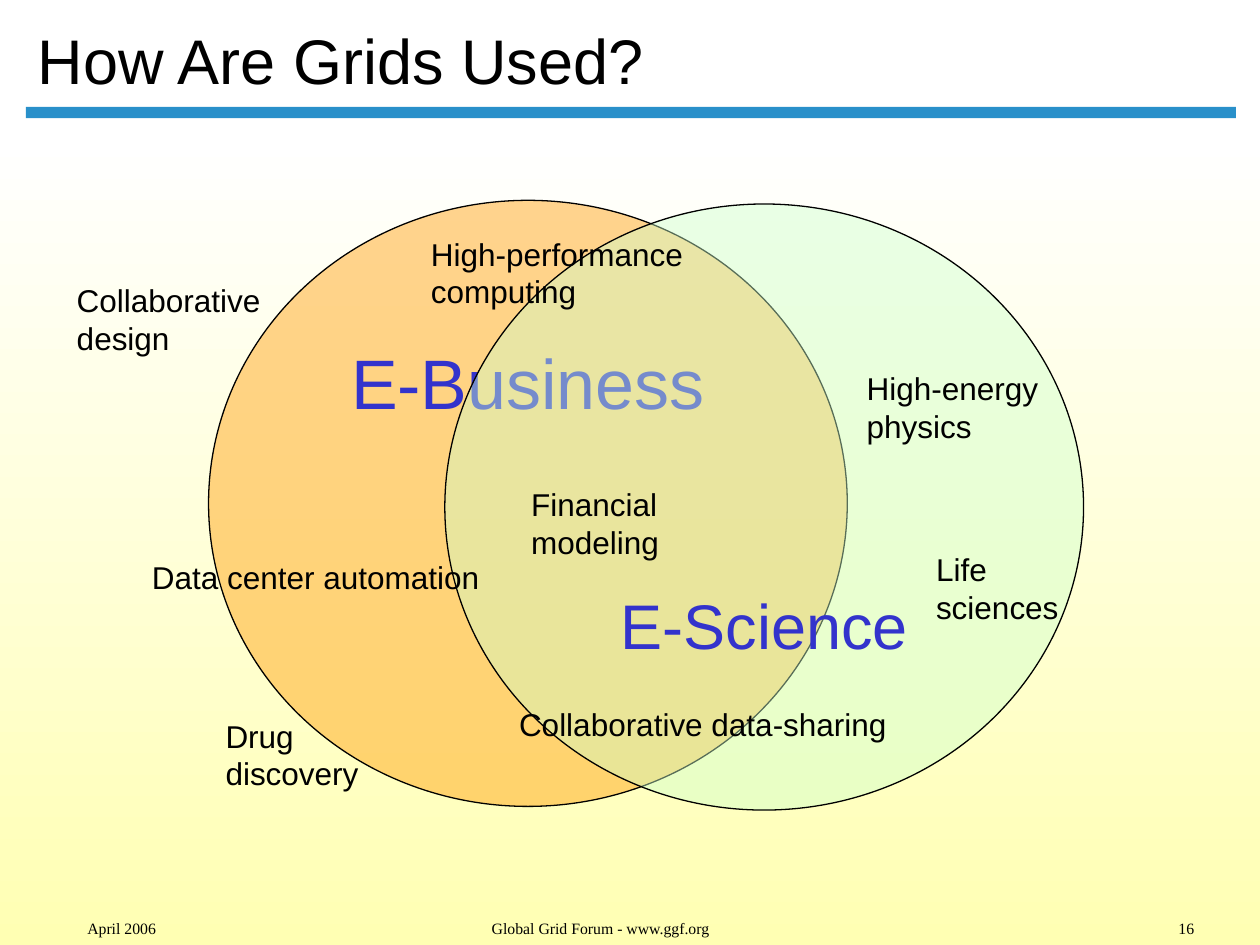
from pptx import Presentation
from pptx.dml.color import RGBColor
from pptx.enum.shapes import MSO_SHAPE
from pptx.enum.text import MSO_ANCHOR, MSO_AUTO_SIZE, PP_ALIGN
from pptx.oxml.ns import qn
from pptx.util import Pt
from lxml import etree

RECT, OVAL = MSO_SHAPE.RECTANGLE, MSO_SHAPE.OVAL
TOP, MIDDLE, BOTTOM = MSO_ANCHOR.TOP, MSO_ANCHOR.MIDDLE, MSO_ANCHOR.BOTTOM
LEFT, CENTER = PP_ALIGN.LEFT, PP_ALIGN.CENTER
FIT, FIXED = MSO_AUTO_SIZE.SHAPE_TO_FIT_TEXT, MSO_AUTO_SIZE.NONE

BLACK = RGBColor(0x00, 0x00, 0x00)
WHITE = RGBColor(0xFF, 0xFF, 0xFF)
CREAM = RGBColor(0xFF, 0xFF, 0xB3)
BAR_BLUE = RGBColor(0x29, 0x90, 0xCA)
ORANGE = RGBColor(0xFF, 0x99, 0x00)
GREEN = RGBColor(0xCC, 0xFF, 0xCC)
HEADING_BLUE = RGBColor(0x33, 0x33, 0xCC)

WIDTH, HEIGHT = 720, 540
CIRCLE_W, CIRCLE_H, ALPHA = 365, 346.3, 43
LABEL_H = 28.8
FOOTER_TOP, FOOTER_H = 522, 17.3

TITLE = "How Are Grids Used?"
CIRCLES = [
    ("E-Business", 119.2, 114.5, ORANGE, 40, dict(margin_bottom=142.6)),
    ("E-Science", 254.2, 116.6, GREEN, 36, dict(margin_top=137.6)),
]
LABELS = [
    ("High-performance computing", 239.2, 130.6, 246.2),
    ("Collaborative data-sharing", 289.5, 399.6, 224.6),
    ("Collaborative design", 36.8, 157, 177.1),
    ("Drug discovery", 121.8, 406, 133.9),
    ("Financial modeling", 296.4, 273.6, 164.2),
    ("Data center automation", 79.8, 315.2, 201.6),
    ("High-energy physics", 488.2, 207.6, 177.1),
    ("Life sciences", 527.8, 310.8, 118.1),
]
FOOTERS = [
    ("April 2006", 0, 139),
    ("Global Grid Forum - www.ggf.org", 167.8, 350.6),
    ("16", 648, 59.8),
]


def write(shape, text, size=18, font="Arial", color=BLACK, align=LEFT, anchor=TOP,
          wrap=False, fit=FIXED, spacing=1.0, margin_top=3.6, margin_bottom=3.6):
    tf = shape.text_frame
    tf.word_wrap, tf.auto_size, tf.vertical_anchor = wrap, fit, anchor
    tf.margin_left = tf.margin_right = Pt(7.2)
    tf.margin_top, tf.margin_bottom = Pt(margin_top), Pt(margin_bottom)
    p = tf.paragraphs[0]
    p.alignment, p.line_spacing = align, spacing
    r = p.add_run()
    r.text = text
    r.font.size, r.font.name, r.font.color.rgb = Pt(size), font, color


def add_shape(s, kind, *box):
    sp = s.shapes.add_shape(kind, *map(Pt, box))
    sp.shadow.inherit = False
    return sp


def main():
    """Build the slide with two overlapping circles of grid uses."""
    prs = Presentation()
    prs.slide_width, prs.slide_height = Pt(WIDTH), Pt(HEIGHT)
    s = prs.slides.add_slide(prs.slide_layouts[5])

    backdrop = add_shape(s, RECT, 0, 77.8, WIDTH, HEIGHT - 77.8)
    backdrop.line.fill.background()
    backdrop.fill.gradient()
    backdrop.fill.gradient_angle = 270
    for stop, color, position in zip(backdrop.fill.gradient_stops, (WHITE, CREAM), (0, 1)):
        stop.color.rgb, stop.position = color, position

    bar = add_shape(s, RECT, 14.8, 61, 691.4, 6.5)
    bar.fill.solid()
    bar.fill.fore_color.rgb = BAR_BLUE
    bar.line.fill.background()

    title = s.shapes.title
    title.left, title.top, title.width, title.height = map(Pt, (14.4, 9.4, 616.3, 50.4))
    write(title, TITLE, size=36, anchor=BOTTOM, wrap=True, spacing=0.9)

    for text, left, top, color, size, margin in CIRCLES:
        circle = add_shape(s, OVAL, left, top, CIRCLE_W, CIRCLE_H)
        circle.fill.solid()
        circle.fill.fore_color.rgb = color
        rgb = circle.fill._xPr.find(qn("a:solidFill"))[0]
        etree.SubElement(rgb, qn("a:alpha")).set("val", str(ALPHA * 1000))
        circle.line.color.rgb, circle.line.width = BLACK, Pt(0.75)
        write(circle, text, size=size, color=HEADING_BLUE, align=CENTER, anchor=MIDDLE, **margin)

    for text, left, top, width in LABELS:
        label = s.shapes.add_textbox(Pt(left), Pt(top), Pt(width), Pt(LABEL_H))
        write(label, text, fit=FIT)

    for text, left, width in FOOTERS:
        footer = s.shapes.add_textbox(Pt(left), Pt(FOOTER_TOP), Pt(width), Pt(FOOTER_H))
        write(footer, text, size=9, font="Times New Roman", align=CENTER, anchor=BOTTOM, wrap=True)

    prs.save("out.pptx")


if __name__ == "__main__":
    main()
